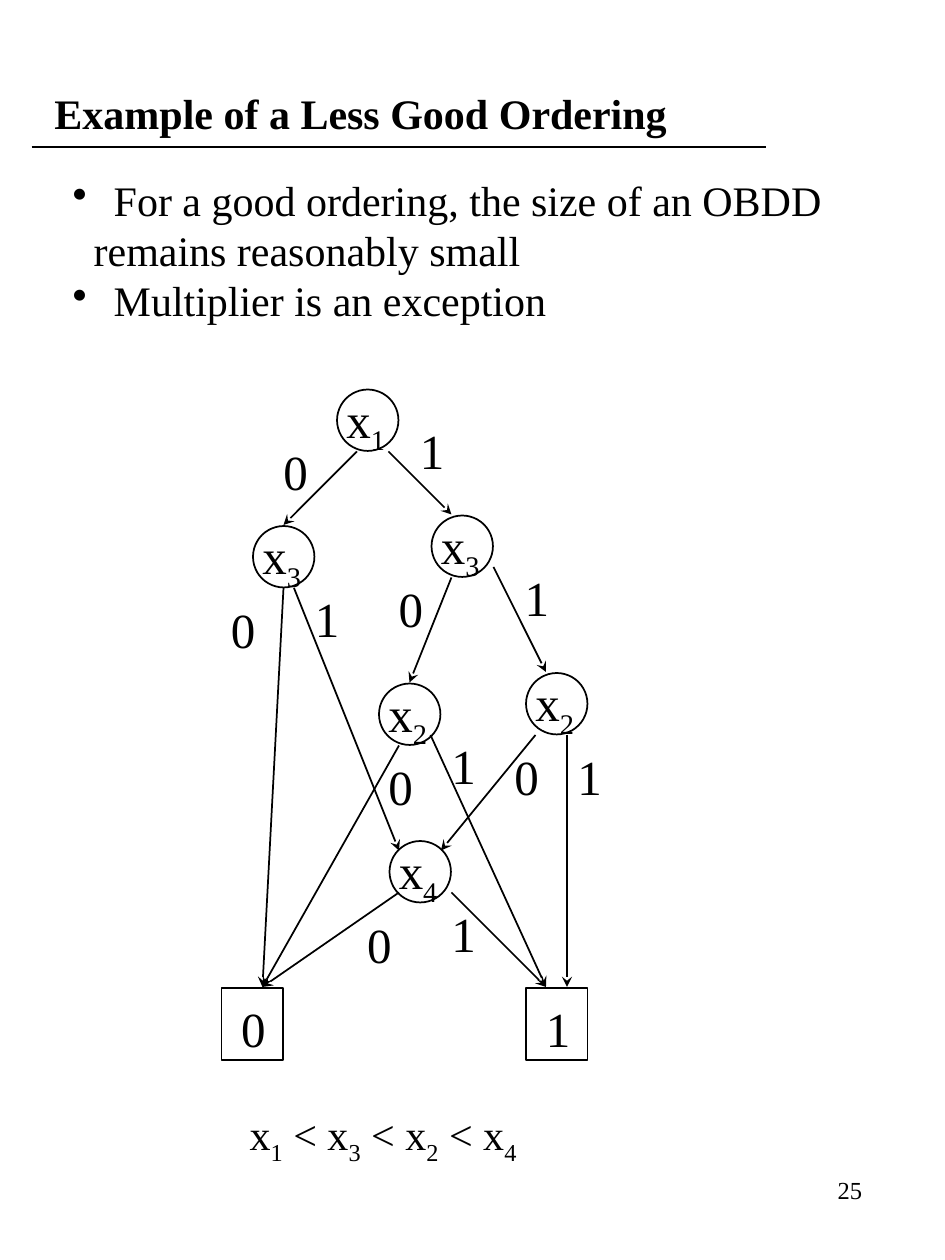
"""Builds a slide with a binary decision diagram for a less good variable ordering."""
from dataclasses import dataclass
from typing import NamedTuple

from lxml.etree import SubElement
from pptx import Presentation
from pptx.dml.color import RGBColor
from pptx.enum.shapes import MSO_CONNECTOR, MSO_SHAPE
from pptx.enum.text import MSO_ANCHOR, PP_ALIGN
from pptx.oxml.ns import qn
from pptx.util import Inches, Pt

COLUMNS, ROWS = 90, 120
WIDTH, HEIGHT = Inches(7.5), Inches(10)
NODE_SIZE = 5.85
BOX_HEIGHT = 6.84


@dataclass(frozen=True)
class Theme:
    font: str = "Times New Roman"
    ink: RGBColor = RGBColor(0, 0, 0)
    paper: RGBColor = RGBColor(255, 255, 255)
    body_size: int = 24
    diagram_size: int = 28
    number_size: int = 14
    line_width: int = 1


THEME = Theme()


class Box(NamedTuple):
    column: float
    row: float
    columns: float
    rows: float


class Piece(NamedTuple):
    text: str
    subscript: bool = False


class Node(NamedTuple):
    column: int
    row: int
    index: int


class Label(NamedTuple):
    column: int
    row: int
    text: str


class Edge(NamedTuple):
    start_column: int
    start_row: int
    end_column: int
    end_row: int


class Line(NamedTuple):
    text: str
    margin: float
    bullet: bool


NODES = [Node(32, 37, 1), Node(24, 50, 3), Node(41, 49, 3),
         Node(50, 64, 2), Node(36, 65, 2), Node(37, 80, 4)]
TERMINALS = [Label(21, 94, "0"), Label(50, 94, "1")]
EDGES = [Edge(34, 43, 27, 50), Edge(37, 43, 43, 49), Edge(43, 55, 39, 65),
         Edge(47, 54, 52, 64), Edge(27, 56, 25, 94), Edge(28, 56, 38, 81),
         Edge(38, 71, 25, 94), Edge(41, 70, 52, 94), Edge(51, 70, 42, 81),
         Edge(54, 70, 54, 94), Edge(38, 85, 25, 94), Edge(43, 85, 52, 94)]
LABELS = [Label(26, 42, "0"), Label(39, 40, "1"), Label(21, 57, "0"), Label(29, 56, "1"),
          Label(37, 55, "0"), Label(49, 54, "1"), Label(36, 72, "0"), Label(42, 70, "1"),
          Label(48, 71, "0"), Label(54, 71, "1"), Label(34, 87, "0"), Label(42, 86, "1")]
LINES = [Line("For a good ordering, the size of an OBDD", 3.9, True),
         Line("remains reasonably small", 2, False),
         Line("Multiplier is an exception", 3.9, True)]
ORDERING = [1, 3, 2, 4]


def across(columns: float) -> int:
    """Turns grid columns into a length."""
    return round(WIDTH * columns / COLUMNS)


def down(rows: float) -> int:
    """Turns grid rows into a length."""
    return round(HEIGHT * rows / ROWS)


def place(box: Box) -> tuple[int, int, int, int]:
    """Turns a grid box into left, top, width and height."""
    return across(box.column), down(box.row), across(box.columns), down(box.rows)


def add_run(paragraph, piece: Piece, size: int, bold: bool = False) -> None:
    """Adds one styled run to a paragraph."""
    run = paragraph.add_run()
    run.text = piece.text
    run.font.name, run.font.size, run.font.bold = THEME.font, Pt(size), bold
    run.font.color.rgb = THEME.ink
    if piece.subscript:
        run.font._element.set("baseline", "-25000")


def add_text(slide, box: Box, pieces: list[Piece], size: int, bold: bool = False,
             wrap: bool = False, anchor=MSO_ANCHOR.TOP):
    """Adds a one-paragraph text box and returns its paragraph."""
    frame = slide.shapes.add_textbox(*place(box)).text_frame
    frame.word_wrap, frame.vertical_anchor = wrap, anchor
    paragraph = frame.paragraphs[0]
    for piece in pieces:
        add_run(paragraph, piece, size, bold)
    return paragraph


def add_outline(slide, kind: MSO_SHAPE, box: Box) -> None:
    """Adds a white shape with a thin black outline."""
    shape = slide.shapes.add_shape(kind, *place(box))
    shape.shadow.inherit = False
    shape.fill.solid()
    shape.fill.fore_color.rgb = THEME.paper
    shape.line.color.rgb = THEME.ink
    shape.line.width = Pt(THEME.line_width)


def add_edge(slide, edge: Edge, arrow: bool = True) -> None:
    """Adds a straight line, with an arrowhead at its end if asked."""
    connector = slide.shapes.add_connector(
        MSO_CONNECTOR.STRAIGHT, across(edge.start_column), down(edge.start_row),
        across(edge.end_column), down(edge.end_row))
    connector.line.color.rgb = THEME.ink
    connector.line.width = Pt(THEME.line_width)
    properties = connector._element.spPr
    if arrow:
        SubElement(properties.find(qn("a:ln")), qn("a:tailEnd"), type="stealth")
    SubElement(properties, qn("a:effectLst"))


def add_label(slide, label: Label) -> None:
    """Adds a digit beside an edge or in a terminal."""
    box = Box(label.column - 0.2, label.row - 0.5, 4.8, BOX_HEIGHT)
    add_text(slide, box, [Piece(label.text)], THEME.diagram_size)


def add_node(slide, node: Node) -> None:
    """Adds a circle with its variable name."""
    add_outline(slide, MSO_SHAPE.OVAL, Box(node.column + 0.1, node.row + 0.1, NODE_SIZE, NODE_SIZE))
    box = Box(node.column - 0.2, node.row - 0.5, 6.4, BOX_HEIGHT)
    add_text(slide, box, [Piece("x"), Piece(str(node.index), True)], THEME.diagram_size)


def add_terminal(slide, terminal: Label) -> None:
    """Adds a square with its truth value."""
    box = Box(terminal.column + 0.1, terminal.row + 0.1, NODE_SIZE, BOX_HEIGHT)
    add_outline(slide, MSO_SHAPE.RECTANGLE, box)
    add_label(slide, Label(terminal.column + 1, terminal.row + 1, terminal.text))


def add_lines(slide, box: Box, lines: list[Line]) -> None:
    """Adds the bulleted text."""
    frame = slide.shapes.add_textbox(*place(box)).text_frame
    frame.word_wrap = True
    for number, line in enumerate(lines):
        paragraph = frame.add_paragraph() if number else frame.paragraphs[0]
        paragraph.line_spacing = Pt(1.2 * THEME.body_size)
        properties = paragraph._p.get_or_add_pPr()
        properties.set("marL", str(across(line.margin)))
        properties.set("indent", str(-across(line.margin) if line.bullet else 0))
        if line.bullet:
            SubElement(properties, qn("a:buChar"), char="•")
        add_run(paragraph, Piece(line.text), THEME.body_size)


def main() -> None:
    """Builds and saves the slide."""
    presentation = Presentation()
    presentation.slide_width, presentation.slide_height = WIDTH, HEIGHT
    slide = presentation.slides.add_slide(presentation.slide_layouts[6])

    title = add_text(slide, Box(0, 0.7, 76.5, 20), [Piece("Example of a Less Good Ordering")],
                     THEME.body_size, bold=True, wrap=True, anchor=MSO_ANCHOR.MIDDLE)
    title._p.get_or_add_pPr().set("marL", str(across(4)))
    add_edge(slide, Edge(3, 14, 73, 14), arrow=False)
    add_lines(slide, Box(5.75, 16, 80.2, 15.6), LINES)

    for node in NODES:
        add_node(slide, node)
    for terminal in TERMINALS:
        add_terminal(slide, terminal)
    for edge in EDGES:
        add_edge(slide, edge)
    for label in LABELS:
        add_label(slide, label)

    ordering = [piece for number, index in enumerate(ORDERING)
                for piece in (Piece(" < x" if number else "x"), Piece(str(index), True))]
    add_text(slide, Box(22.6, 105, 28.6, 6), ordering, THEME.body_size, wrap=True)
    number = add_text(slide, Box(64.6, 109.3, 18.7, 8), [Piece("25")], THEME.number_size,
                      wrap=True, anchor=MSO_ANCHOR.MIDDLE)
    number.alignment = PP_ALIGN.RIGHT
    presentation.save("out.pptx")


if __name__ == "__main__":
    main()
